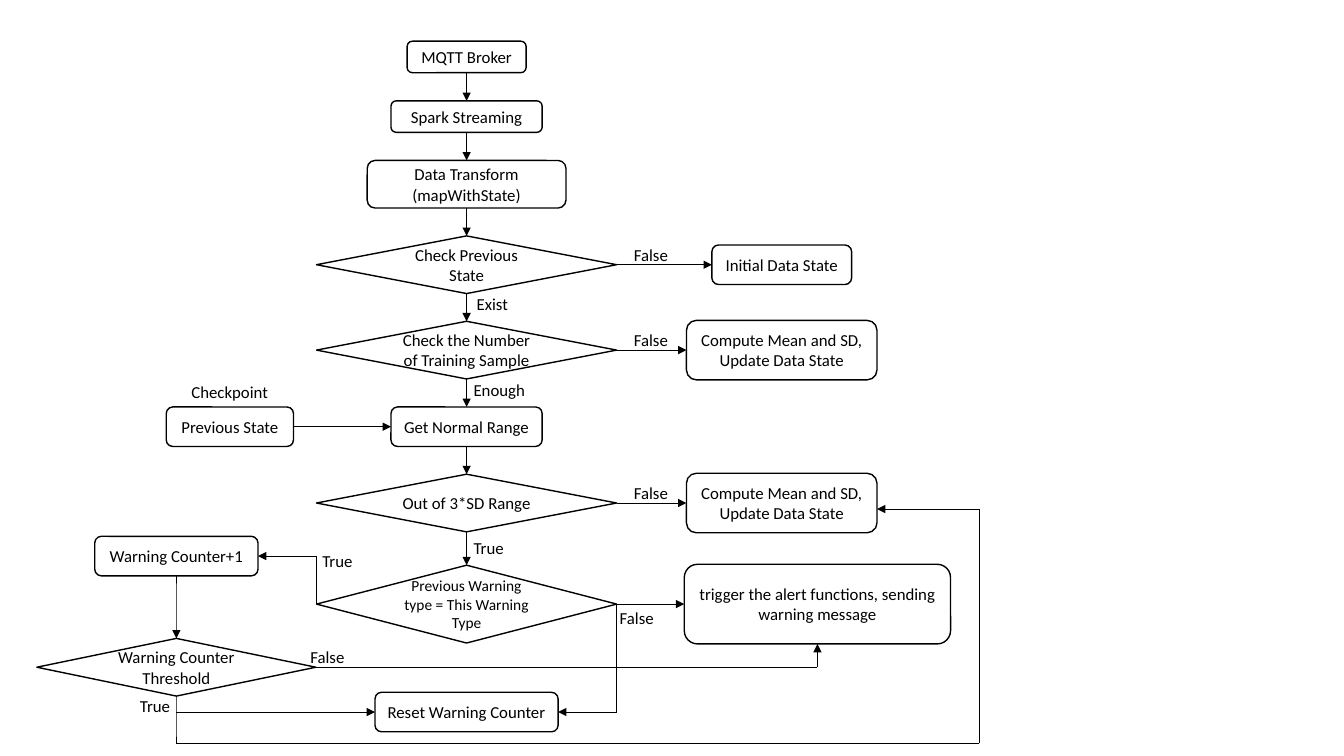
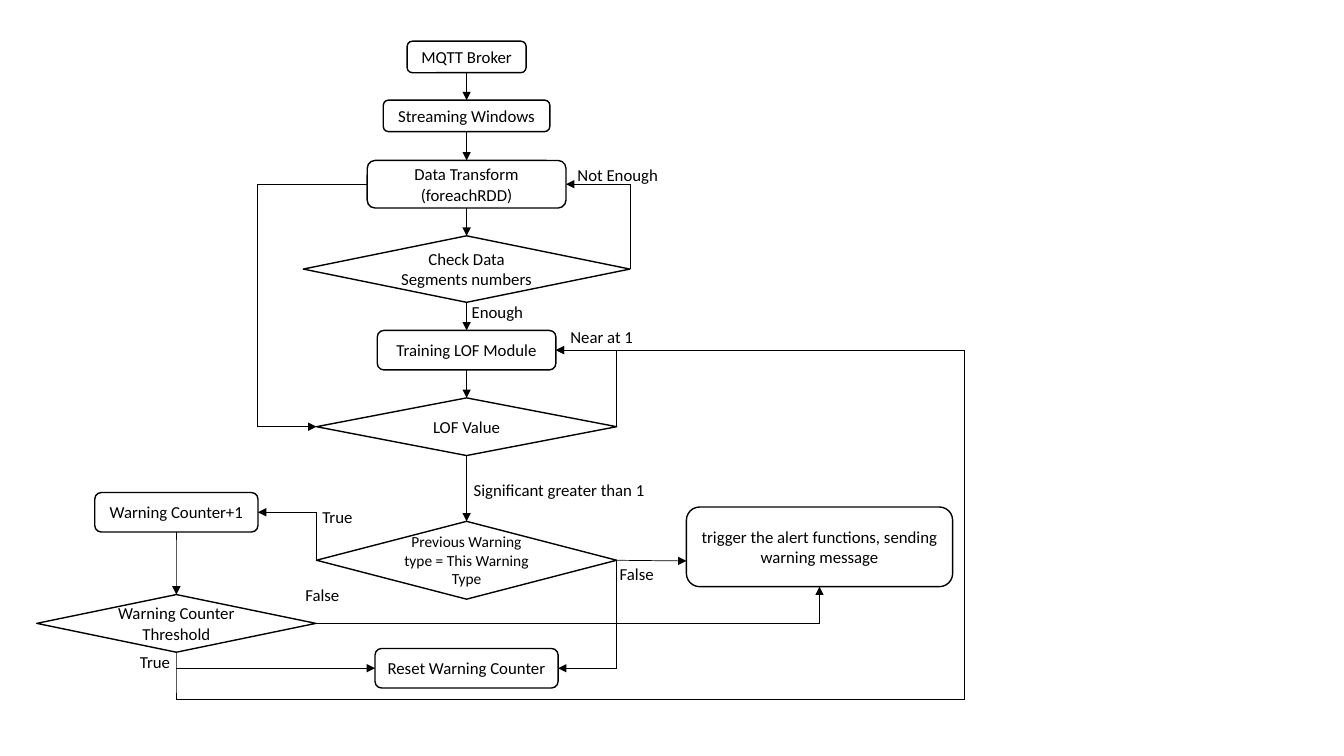
from typing import NamedTuple

from lxml.etree import SubElement
from pptx import Presentation
from pptx.dml.color import RGBColor
from pptx.enum.shapes import MSO_CONNECTOR, MSO_SHAPE
from pptx.enum.text import MSO_ANCHOR, PP_ALIGN
from pptx.oxml.ns import qn
from pptx.util import Pt

BLACK, WHITE = "000000", "FFFFFF"
FONT = "Calibri"
PROCESS = MSO_SHAPE.FLOWCHART_ALTERNATE_PROCESS
DECISION = MSO_SHAPE.FLOWCHART_DECISION
TOP, LEFT, BOTTOM, RIGHT = range(4)
SPINE = 333.3
COUNTER_X = 126
SIDE_X = 558.4
STEP_HEIGHT = 28.2
DIAMOND = (214.4, 41.2)
SIDE_BOX = (136.1, 42.5)


class Port(NamedTuple):
    """The middle of one side of a shape."""

    shape: object
    side: int


def color(value):
    """Turn a hex string into a colour."""
    return RGBColor.from_string(value)


def style_text(frame, size=12, align=PP_ALIGN.LEFT):
    """Format every paragraph of a text frame."""
    for para in frame.paragraphs:
        para.alignment = align
        para.font.name = FONT
        para.font.size = Pt(size)
        para.font.color.rgb = color(BLACK)


def add_node(page, kind, text, center, size, font_size=12):
    """Draw a flowchart step around its centre."""
    (x, y), (width, height) = center, size
    node = page.shapes.add_shape(
        kind, Pt(x - width / 2), Pt(y - height / 2), Pt(width), Pt(height))
    node.shadow.inherit = False
    node.fill.solid()
    node.fill.fore_color.rgb = color(WHITE)
    node.line.color.rgb = color(BLACK)
    node.line.width = Pt(1)
    frame = node.text_frame
    frame.text = text
    frame.word_wrap = True
    frame.vertical_anchor = MSO_ANCHOR.MIDDLE
    style_text(frame, font_size, PP_ALIGN.CENTER)
    return node


def add_label(page, text, left, top, width):
    """Write a caption beside an arrow or a step."""
    box = page.shapes.add_textbox(Pt(left), Pt(top), Pt(width), Pt(21.8))
    box.text_frame.text = text
    box.text_frame.word_wrap = False
    style_text(box.text_frame)


def locate(stop):
    """Give the position of a port or of a plain point."""
    if not isinstance(stop, Port):
        return Pt(stop[0]), Pt(stop[1])
    shape = stop.shape
    middle_x = shape.left + shape.width // 2
    middle_y = shape.top + shape.height // 2
    return {
        TOP: (middle_x, shape.top),
        LEFT: (shape.left, middle_y),
        BOTTOM: (middle_x, shape.top + shape.height),
        RIGHT: (shape.left + shape.width, middle_y),
    }[stop.side]


def add_route(page, *stops):
    """Draw straight segments through the stops, with an arrowhead at the end."""
    for start, end in zip(stops, stops[1:]):
        line = page.shapes.add_connector(
            MSO_CONNECTOR.STRAIGHT, *locate(start), *locate(end))
        if isinstance(start, Port):
            line.begin_connect(*start)
        if isinstance(end, Port):
            line.end_connect(*end)
        line.line.color.rgb = color(BLACK)
        line.line.width = Pt(0.5)
        properties = line._element.spPr
        SubElement(properties, qn("a:effectLst"))
        if end is stops[-1]:
            SubElement(line.line._get_or_add_ln(), qn("a:tailEnd"), type="triangle")


def add_spine(page, steps):
    """Stack steps on the central axis and join each to the next."""
    nodes = [add_node(page, kind, text, (SPINE, y), size, *font_size)
             for kind, text, y, size, *font_size in steps]
    for upper, lower in zip(nodes, nodes[1:]):
        add_route(page, Port(upper, BOTTOM), Port(lower, TOP))
    return nodes


def warning_type_step(y):
    """Describe the decision that opens the warning branch."""
    return (DECISION, "Previous Warning type = This Warning Type", y, (214.4, 55.6), 11)


def add_warning_branch(page, warning_type, y, alert_center):
    """Draw the warning counter, its threshold, the reset and the alert."""
    counter_y, threshold_y, reset_y = y - 34.3, y + 45.1, y + 77.1
    counter = add_node(page, PROCESS, "Warning Counter+1",
                       (COUNTER_X, counter_y), (116.6, STEP_HEIGHT))
    threshold = add_node(page, DECISION, "Warning Counter Threshold",
                         (COUNTER_X, threshold_y), (199.4, 41.2))
    reset = add_node(page, PROCESS, "Reset Warning Counter",
                     (SPINE, reset_y), (130.8, STEP_HEIGHT))
    alert = add_node(page, PROCESS, "trigger the alert functions, sending warning message",
                     alert_center, (190.2, 56.9))
    edge = DIAMOND[0] / 2
    add_route(page, Port(warning_type, LEFT), (SPINE - edge, counter_y), Port(counter, RIGHT))
    add_route(page, Port(warning_type, RIGHT), (SPINE + edge, reset_y), Port(reset, RIGHT))
    add_route(page, Port(counter, BOTTOM), Port(threshold, TOP))
    add_route(page, Port(threshold, RIGHT), (alert_center[0], threshold_y), Port(alert, BOTTOM))
    add_route(page, (COUNTER_X, reset_y), Port(reset, LEFT))
    add_label(page, "True", 223.2, y - 42, 36)
    add_label(page, "False", 435.6, y - 0.9, 39)
    add_label(page, "True", 92.9, y + 61.7, 36)
    return threshold, alert


def build_range_page(page):
    """Draw the flow that tests values against a standard deviation range."""
    warning_y, return_x, return_y = 431.5, 699.6, 363.6
    previous_y, sample_y, normal_y, range_y = 189.1, 250.1, 304.8, 359.3
    *_, previous, sample, normal, in_range, warning_type = add_spine(page, [
        (PROCESS, "MQTT Broker", 40.7, (85, 22.5)),
        (PROCESS, "Spark Streaming", 83.3, (108, 22.5)),
        (PROCESS, "Data Transform\n(mapWithState)", 131.6, (142, 34)),
        (DECISION, "Check Previous State", previous_y, DIAMOND),
        (DECISION, "Check the Number of Training Sample", sample_y, DIAMOND),
        (PROCESS, "Get Normal Range", normal_y, (108, STEP_HEIGHT)),
        (DECISION, "Out of 3*SD Range", range_y, DIAMOND),
        warning_type_step(warning_y),
    ])
    compute_text = "Compute Mean and SD, Update Data State"
    for decision, text, y, size in [
        (previous, "Initial Data State", previous_y, (99.8, STEP_HEIGHT)),
        (sample, compute_text, sample_y, SIDE_BOX),
        (in_range, compute_text, range_y, SIDE_BOX),
    ]:
        outcome = add_node(page, PROCESS, text, (SIDE_X, y), size)
        add_route(page, Port(decision, RIGHT), Port(outcome, LEFT))
        add_label(page, "False", 445.7, y - 17.8, 39)
    stored = add_node(page, PROCESS, "Previous State", (164.2, normal_y), (90.9, STEP_HEIGHT))
    add_route(page, Port(stored, RIGHT), Port(normal, LEFT))

    threshold, alert = add_warning_branch(page, warning_type, warning_y, (583.9, warning_y))
    add_route(page, Port(warning_type, RIGHT), Port(alert, LEFT))
    bottom_y = warning_y + 99.5
    add_route(page, Port(threshold, BOTTOM), (COUNTER_X, bottom_y), (return_x, bottom_y),
              (return_x, return_y), (SIDE_X + SIDE_BOX[0] / 2, return_y))
    for label in [
        ("Exist", 333.4, 205.9, 37.5),
        ("Enough", 331.2, 267.8, 52),
        ("Checkpoint", 129.6, 268.9, 70),
        ("True", 331.2, 380.2, 36),
        ("False", 214.6, 458.6, 39),
    ]:
        add_label(page, *label)


def build_outlier_page(page):
    """Draw the flow that trains on stream windows and tests the LOF value."""
    warning_y, return_x, bypass_x = 400.2, 689.2, 183.8
    transform_y, training_y, value_y = 131.6, 250.1, 304.8
    segment_width = 233.3
    *_, transform, segments, training, value, warning_type = add_spine(page, [
        (PROCESS, "MQTT Broker", 40.7, (85, 22.5)),
        (PROCESS, "Streaming Windows", 82.8, (119, 22.5)),
        (PROCESS, "Data Transform\n(foreachRDD)", transform_y, (142, 34)),
        (DECISION, "Check Data Segments numbers", 192.2, (segment_width, 47.5)),
        (PROCESS, "Training LOF Module", training_y, (127.6, STEP_HEIGHT)),
        (DECISION, "LOF Value", value_y, DIAMOND),
        warning_type_step(warning_y),
    ])
    add_route(page, Port(segments, RIGHT), (SPINE + segment_width / 2, transform_y),
              Port(transform, RIGHT))
    add_route(page, Port(value, RIGHT), (SPINE + DIAMOND[0] / 2, training_y),
              Port(training, RIGHT))
    add_route(page, Port(transform, LEFT), (bypass_x, transform_y), (bypass_x, value_y),
              Port(value, LEFT))

    threshold, alert = add_warning_branch(page, warning_type, warning_y, (585.4, 390.6))
    add_route(page, Port(warning_type, RIGHT), (alert.left.pt, warning_y + 0.5))
    bottom_y = warning_y + 99.5
    add_route(page, Port(threshold, BOTTOM), (COUNTER_X, bottom_y), (return_x, bottom_y),
              (return_x, training_y), Port(training, RIGHT))
    for label in [
        ("Not Enough", 405.4, 113.8, 73),
        ("Enough", 329.8, 211.7, 52),
        ("Near at 1", 400.3, 229.7, 60),
        ("Significant greater than 1", 331.2, 339.1, 137.5),
        ("False", 211, 414, 39),
    ]:
        add_label(page, *label)


def main():
    """Build both flowcharts and save the deck."""
    deck = Presentation()
    deck.slide_width, deck.slide_height = Pt(960), Pt(540)
    blank_layout = deck.slide_layouts[6]
    for build in (build_range_page, build_outlier_page):
        build(deck.slides.add_slide(blank_layout))
    deck.save("out.pptx")


if __name__ == "__main__":
    main()
